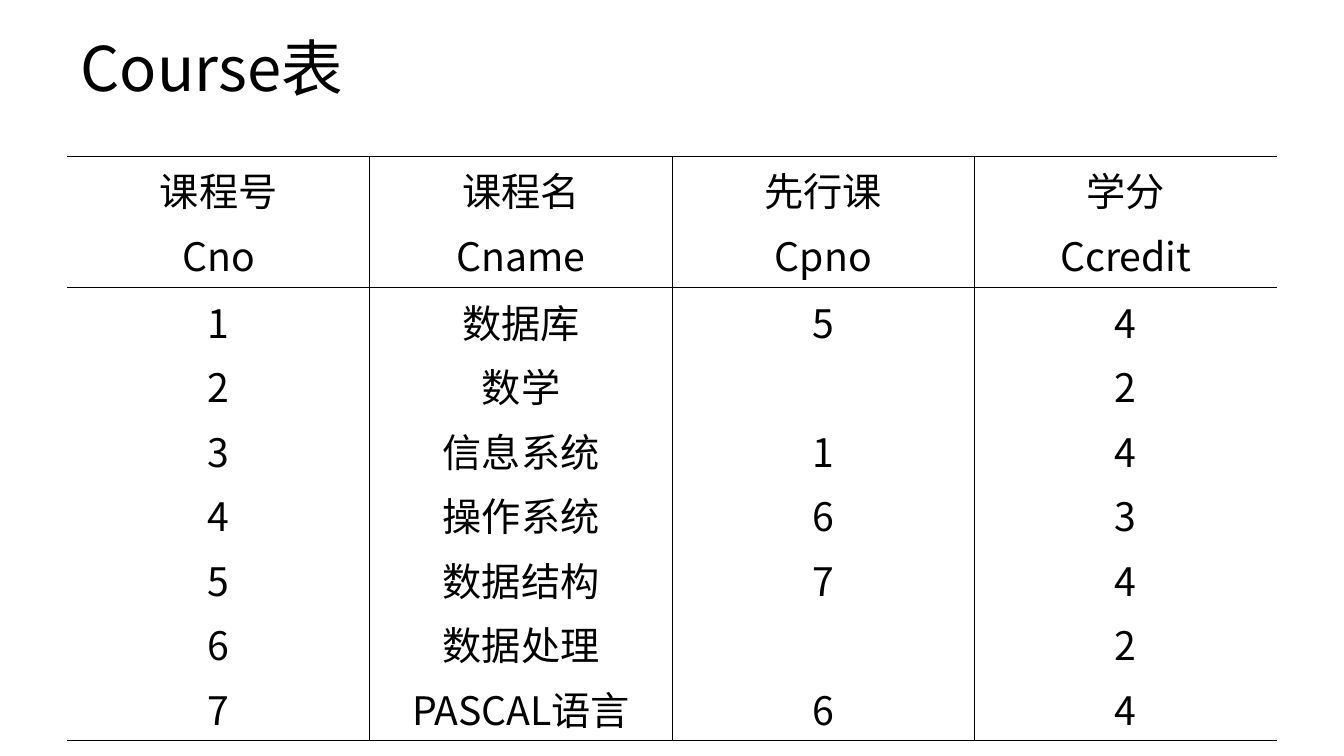
"""Build the Course table slide."""
from dataclasses import dataclass

from lxml.etree import SubElement
from pptx import Presentation
from pptx.dml.color import RGBColor
from pptx.enum.text import MSO_ANCHOR as Anchor, PP_ALIGN as Align
from pptx.oxml.ns import qn
from pptx.slide import Slide
from pptx.table import _Cell as Cell
from pptx.text.text import _Paragraph as Paragraph
from pptx.util import Cm, Pt


@dataclass(frozen=True)
class Theme:
    font: str = "Noto Sans CJK SC"
    ink: str = "000000"
    title_pt: int = 44
    body_pt: int = 28
    gap_pt: float = 5.6
    line_pt: float = 46.1
    rule_pt: int = 1


@dataclass(frozen=True)
class Column:
    heads: tuple[str, str]
    values: tuple[str, ...]


THEME = Theme()
COLUMNS = (
    Column(("课程号", "Cno"), ("1", "2", "3", "4", "5", "6", "7")),
    Column(("课程名", "Cname"),
           ("数据库", "数学", "信息系统", "操作系统", "数据结构", "数据处理", "PASCAL语言")),
    Column(("先行课", "Cpno"), ("5", "", "1", "6", "7", "", "6")),
    Column(("学分", "Ccredit"), ("4", "2", "4", "3", "4", "2", "4")),
)
ROW_HEIGHTS = (Cm(3.31), Cm(11.41))
COLUMN_WIDTH = Cm(7.62)
CELL_FORMAT = {
    "margin_left": Cm(0.33), "margin_right": Cm(0.33),
    "margin_top": Cm(0.13), "margin_bottom": Cm(0.13),
    "vertical_anchor": Anchor.TOP,
}


def add_text(p: Paragraph, text: str, size: int) -> None:
    """Add a run in the theme font to a paragraph."""
    r = p.add_run()
    r.text = text
    for name, value in {"name": THEME.font, "size": Pt(size)}.items():
        setattr(r.font, name, value)
    r.font.color.rgb = RGBColor.from_string(THEME.ink)
    SubElement(r.font._element, qn("a:ea"), typeface=THEME.font)


def add_title(s: Slide, text: str) -> None:
    """Add the slide title."""
    tf = s.shapes.add_textbox(Cm(1.78), Cm(0.71), Cm(20.32), Cm(2.21)).text_frame
    for name, value in {"word_wrap": True, "vertical_anchor": Anchor.MIDDLE}.items():
        setattr(tf, name, value)
    p = tf.paragraphs[0]
    p.line_spacing = 0.9
    add_text(p, text, THEME.title_pt)


def set_borders(cell: Cell, open_sides: set[str]) -> None:
    """Rule every side of a cell except the open ones."""
    tc_pr = cell._tc.get_or_add_tcPr()
    for side in "LRTB":
        ln = SubElement(tc_pr, qn(f"a:ln{side}"), w=str(Pt(THEME.rule_pt)))
        if side in open_sides:
            SubElement(ln, qn("a:noFill"))
        else:
            fill = SubElement(ln, qn("a:solidFill"))
            SubElement(fill, qn("a:srgbClr"), val=THEME.ink)


def fill_cell(cell: Cell, lines: tuple[str, ...]) -> None:
    """Write centred lines, widening the space before a line that follows a missing value."""
    for name, value in CELL_FORMAT.items():
        setattr(cell, name, value)
    tf = cell.text_frame
    previous = -1
    for i, text in enumerate(lines):
        if not text:
            continue
        p = tf.paragraphs[0] if previous < 0 else tf.add_paragraph()
        skipped = i - previous - 1
        p.alignment = Align.CENTER
        p.space_before = Pt(THEME.gap_pt + skipped * THEME.line_pt)
        add_text(p, text, THEME.body_pt)
        previous = i


def add_course_table(s: Slide) -> None:
    """Add the table with one header row and one row of stacked values."""
    count = len(COLUMNS)
    table = s.shapes.add_table(len(ROW_HEIGHTS), count, Cm(1.7), Cm(3.94),
                               COLUMN_WIDTH * count, sum(ROW_HEIGHTS)).table
    for name in ("first_row", "horz_banding"):
        setattr(table, name, False)
    for row, height in zip(table.rows, ROW_HEIGHTS):
        row.height = height
    for c, column in enumerate(COLUMNS):
        table.columns[c].width = COLUMN_WIDTH
        open_sides = {side for side, edge in (("L", 0), ("R", count - 1)) if c == edge}
        for r, lines in enumerate((column.heads, column.values)):
            cell = table.cell(r, c)
            fill_cell(cell, lines)
            set_borders(cell, open_sides)
            cell.fill.background()


def main() -> None:
    """Create and save the slide."""
    prs = Presentation()
    prs.slide_width, prs.slide_height = Cm(33.87), Cm(19.05)
    s = prs.slides.add_slide(prs.slide_layouts[6])
    add_title(s, "Course表")
    add_course_table(s)
    prs.save("out.pptx")


if __name__ == "__main__":
    main()
